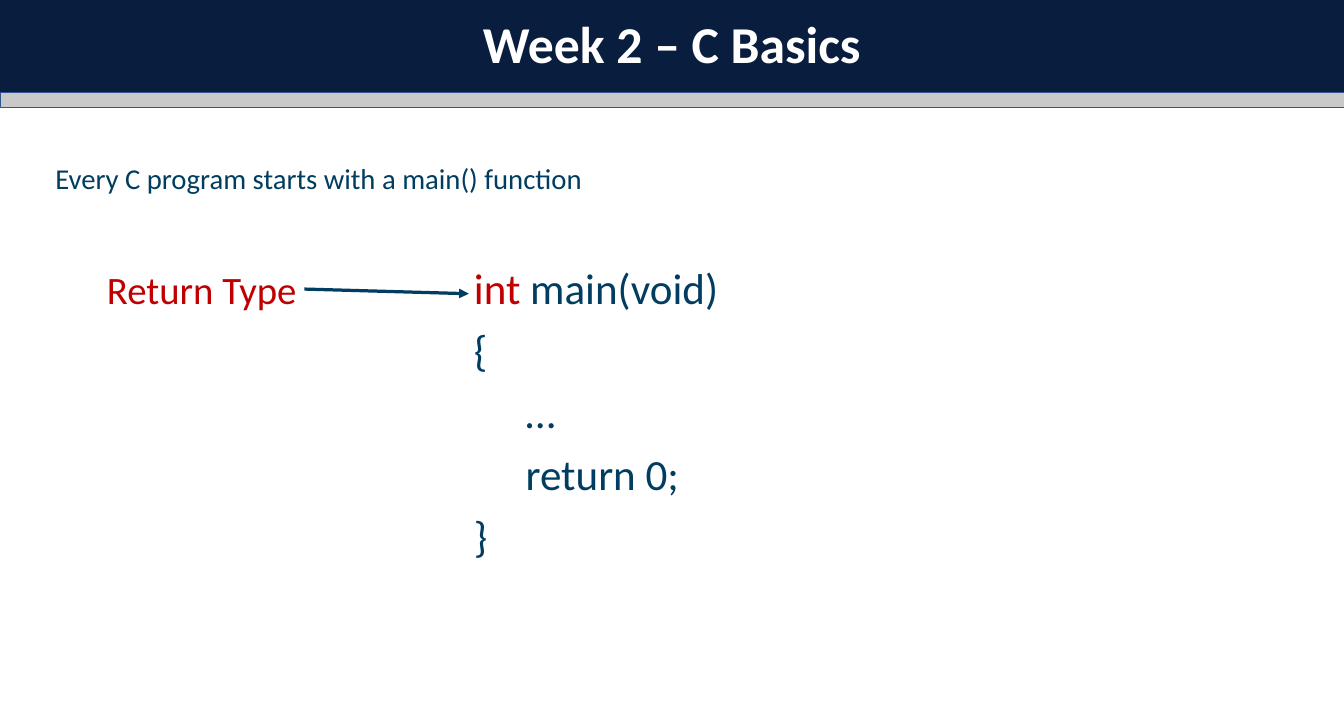
from dataclasses import dataclass

from lxml.etree import SubElement
from pptx import Presentation
from pptx.dml.color import RGBColor
from pptx.enum.shapes import MSO_CONNECTOR, MSO_SHAPE
from pptx.enum.text import MSO_ANCHOR, MSO_AUTO_SIZE, PP_ALIGN
from pptx.oxml.ns import qn
from pptx.text.text import TextFrame
from pptx.util import Pt

NAVY = RGBColor(0x09, 0x1D, 0x3F)
WHITE = RGBColor(0xFF, 0xFF, 0xFF)
GREY = RGBColor(0xC9, 0xC9, 0xC9)
EDGE = RGBColor(0x32, 0x54, 0x91)
TEAL = RGBColor(0x00, 0x3D, 0x60)
RED = RGBColor(0xC0, 0x00, 0x00)
WIDTH, HEIGHT = 1872, 1008
HEAD, BAR = 128.88, 20.88


@dataclass
class Word:
    text: str
    color: RGBColor = TEAL


@dataclass
class Line:
    words: list[Word]
    indent: float = 0


def place(shape, left: float, top: float, width: float, height: float) -> None:
    shape.left, shape.top = Pt(left), Pt(top)
    shape.width, shape.height = Pt(width), Pt(height)


def write(frame: TextFrame, lines: list[Line], *, size: float,
          bold: bool = False, align: PP_ALIGN = PP_ALIGN.LEFT,
          anchor: MSO_ANCHOR = MSO_ANCHOR.TOP, wrap: bool = True,
          gap: float = 0, pitch: float = 1) -> None:
    frame.auto_size = MSO_AUTO_SIZE.NONE
    frame.word_wrap = wrap
    frame.vertical_anchor = anchor
    for row, line in enumerate(lines):
        para = frame.add_paragraph() if row else frame.paragraphs[0]
        para.alignment = align
        para.line_spacing = pitch
        para.space_before = Pt(gap if row else 0)
        props = para._p.get_or_add_pPr()
        props.set("marL", str(Pt(line.indent)))
        props.set("indent", "0")
        SubElement(props, qn("a:buNone"))
        for word in line.words:
            run = para.add_run()
            run.text = word.text
            run.font.name = "Calibri"
            run.font.size = Pt(size)
            run.font.bold = bold
            run.font.color.rgb = word.color


def arrow(slide, start: tuple[float, float], end: tuple[float, float]) -> None:
    link = slide.shapes.add_connector(
        MSO_CONNECTOR.STRAIGHT, *map(Pt, start), *map(Pt, end))
    link.line.color.rgb = TEAL
    link.line.width = Pt(4.5)
    props = link._element.spPr
    SubElement(props.find(qn("a:ln")), qn("a:tailEnd"), type="triangle")
    SubElement(props, qn("a:effectLst"))


def main() -> None:
    deck = Presentation()
    deck.slide_width, deck.slide_height = Pt(WIDTH), Pt(HEIGHT)
    slide = deck.slides.add_slide(deck.slide_layouts[1])

    title = slide.shapes.title
    place(title, 0, 0, WIDTH, HEAD)
    title.fill.solid()
    title.fill.fore_color.rgb = NAVY
    write(title.text_frame, [Line([Word("Week 2 – C Basics", WHITE)])],
          size=72, bold=True, align=PP_ALIGN.CENTER,
          anchor=MSO_ANCHOR.MIDDLE, pitch=0.9)

    bar = slide.shapes.add_shape(
        MSO_SHAPE.RECTANGLE, 0, Pt(HEAD), Pt(WIDTH), Pt(BAR))
    bar.shadow.inherit = False
    bar.fill.solid()
    bar.fill.fore_color.rgb = GREY
    bar.line.color.rgb = EDGE
    bar.line.width = Pt(1)

    body = slide.placeholders[1]
    place(body, 69.84, 219.6, 936, 118.08)
    write(body.text_frame,
          [Line([Word("Every C program starts with a main() function")])],
          size=40)

    code = slide.shapes.add_textbox(
        Pt(653.04), Pt(360.72), Pt(936), Pt(427.68))
    write(code.text_frame, [
        Line([Word("int", RED), Word(" main(void)")]),
        Line([Word("{")]),
        Line([Word("…")], 72),
        Line([Word("return 0;")], 72),
        Line([Word("}")]),
    ], size=60, gap=14.2)

    label = slide.shapes.add_textbox(
        Pt(141.84), Pt(365.76), Pt(281.52), Pt(72.72))
    write(label.text_frame, [Line([Word("Return Type", RED)])],
          size=54, wrap=False)

    arrow(slide, (424.08, 402.48), (653.04, 408.96))
    deck.save("out.pptx")


if __name__ == "__main__":
    main()
